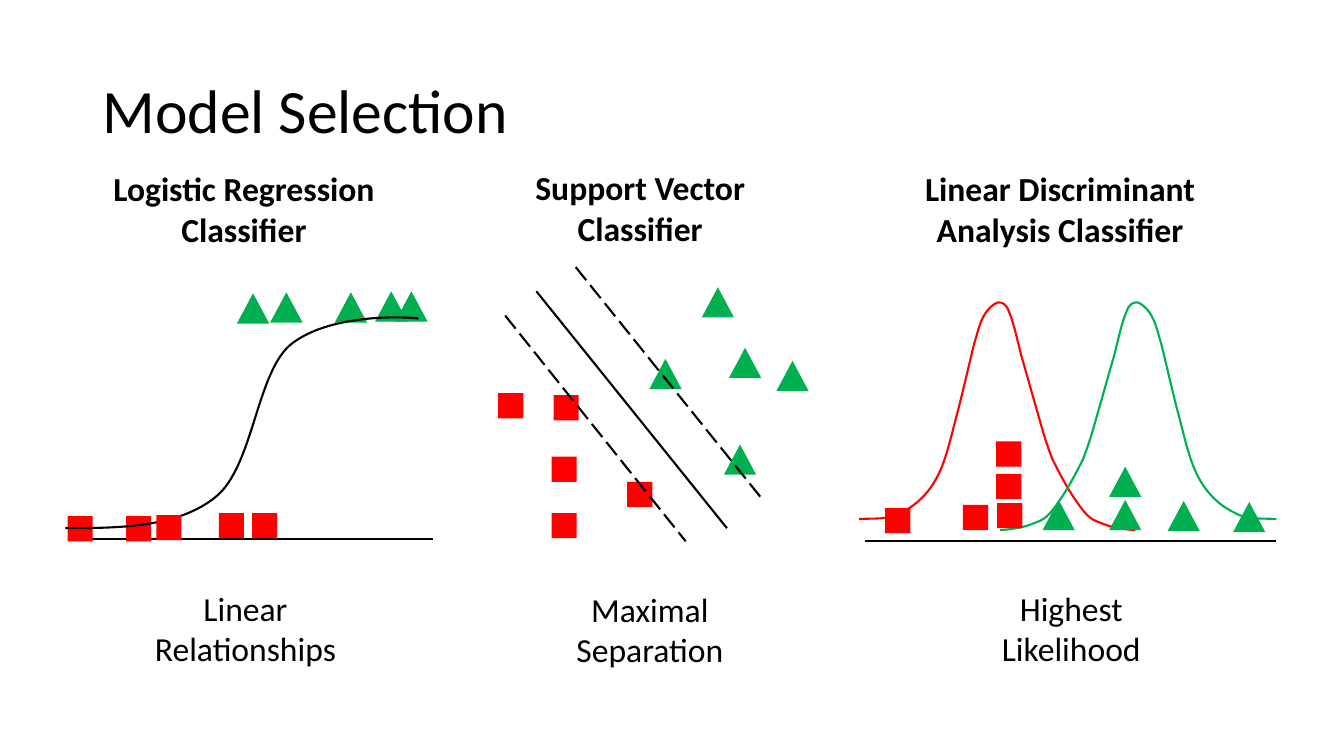
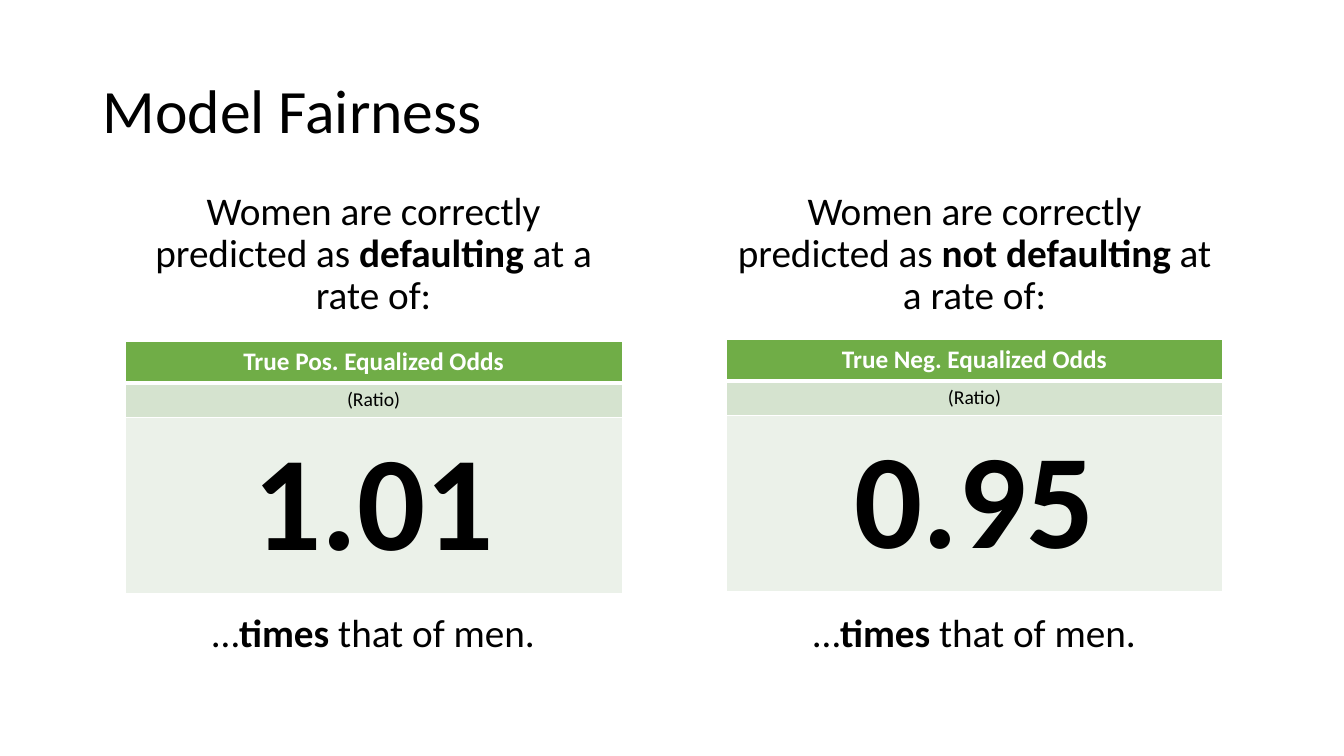
from lxml import etree
from pptx import Presentation
from pptx import util as u
from pptx.dml.color import RGBColor
from pptx.enum import dml, shapes, text
from pptx.oxml import ns

PX = 9144
BLACK = RGBColor(0x00, 0x00, 0x00)
WHITE = RGBColor(0xFF, 0xFF, 0xFF)
RED = RGBColor(0xFF, 0x00, 0x00)
GREEN = RGBColor(0x00, 0xB0, 0x50)
HEADER_GREEN = RGBColor(0x70, 0xAD, 0x47)
UNIT_GREEN = RGBColor(0xD5, 0xE3, 0xCF)
RATIO_GREEN = RGBColor(0xEB, 0xF1, 0xE9)

CENTER = text.PP_ALIGN.CENTER
TITLE = {"alignment": text.PP_ALIGN.LEFT, "line_spacing": 0.9}
LABEL = {"alignment": CENTER}
STATEMENT = {"alignment": CENTER, "line_spacing": 0.9, "space_before": u.Pt(10)}

TRIANGLE = (shapes.MSO_SHAPE.ISOSCELES_TRIANGLE, 32, 30, GREEN)
SQUARE = (shapes.MSO_SHAPE.RECTANGLE, 25, 25, RED)

PANEL_TOP = 160
ROW_HEIGHTS = (41, 34, 175)
SIGMOID = [(0, 364), (56, 364), (112, 363), (149, 333), (186, 303), (189, 213),
           (222, 183), (256, 154), (324, 153), (350, 156)]
BELL = [(0, 355), (15, 354), (29, 356), (41, 349), (54, 343), (67, 332), (76, 316),
        (86, 299), (91, 274), (97, 252), (103, 229), (110, 198), (114, 182),
        (119, 165), (120, 160), (124, 153), (128, 146), (134, 141), (138, 140),
        (142, 140), (146, 141), (149, 150), (153, 159), (157, 177), (161, 193),
        (166, 210), (172, 232), (177, 249), (182, 267), (186, 281), (192, 296),
        (199, 310), (207, 325), (214, 335), (221, 345), (226, 353), (235, 357),
        (244, 360), (248, 364), (274, 366)]


def px(*lengths):
    return [round(length * PX) for length in lengths]


def apply_format(target, values):
    for name, value in values.items():
        setattr(target, name, value)


def write_run(paragraph, words, size, bold=False, color=BLACK):
    run = paragraph.add_run()
    run.text = words
    apply_format(run.font, {"name": "Calibri", "size": u.Pt(size), "bold": bold})
    run.font.color.rgb = color


def add_words(slide, box, paragraphs, size, style, anchor=text.MSO_ANCHOR.TOP):
    frame = slide.shapes.add_textbox(*px(*box)).text_frame
    apply_format(frame, {"word_wrap": True, "vertical_anchor": anchor})
    for index, runs in enumerate(paragraphs):
        paragraph = frame.add_paragraph() if index else frame.paragraphs[0]
        apply_format(paragraph, style)
        for words, bold in runs:
            write_run(paragraph, words, size, bold)


def add_title_slide(deck, title):
    slide = deck.slides.add_slide(deck.slide_layouts[6])
    add_words(slide, (92, 40, 1150, 145), [[(title, False)]], 44, TITLE,
              text.MSO_ANCHOR.MIDDLE)
    return slide


def add_markers(slide, origin, marker, places):
    preset, width, height, color = marker
    left, top = origin
    for x, y in places:
        point = slide.shapes.add_shape(preset, *px(left + x, top + y, width, height))
        point.shadow.inherit = False
        point.fill.solid()
        point.fill.fore_color.rgb = color
        point.line.fill.background()


def ink(line, color=BLACK):
    line.color.rgb = color
    line.width = u.Pt(1.5)


def add_line(slide, origin, start, end, dashed=False):
    left, top = origin
    ends = px(left + start[0], top + start[1], left + end[0], top + end[1])
    connector = slide.shapes.add_connector(shapes.MSO_CONNECTOR.STRAIGHT, *ends)
    ink(connector.line)
    if dashed:
        connector.line.dash_style = dml.MSO_LINE.LONG_DASH
    etree.SubElement(connector._element.spPr, ns.qn("a:effectLst"))


def bend_segments(curve):
    segments = list(curve._element.iter(ns.qn("a:lnTo")))
    for index in range(0, len(segments), 3):
        bend = etree.Element(ns.qn("a:cubicBezTo"))
        segments[index].addprevious(bend)
        for segment in segments[index:index + 3]:
            bend.append(segment[0])
            segment.getparent().remove(segment)


def add_curve(slide, origin, controls, color=BLACK):
    left, top = origin
    start, *rest = [px(left + x, top + y) for x, y in controls]
    builder = slide.shapes.build_freeform(*start)
    builder.add_line_segments(rest, close=False)
    curve = builder.convert_to_shape()
    bend_segments(curve)
    curve.shadow.inherit = False
    curve.fill.background()
    ink(curve.line, color)


def add_panel_words(slide, origin, heading, heading_box, caption, caption_box):
    left, top = origin
    for lines, (x, y, width), bold in ((heading, heading_box, True),
                                       (caption, caption_box, False)):
        add_words(slide, (left + x, top + y, width, 91),
                  [[(line, bold)] for line in lines], 24, LABEL)


def logistic_panel(slide, origin):
    add_panel_words(slide, origin, ["Logistic Regression Classifier"], (27, 2, 300),
                    ["Linear Relationships"], (48, 418, 261))
    add_line(slide, origin, (2, 375), (364, 375))
    add_markers(slide, origin, TRIANGLE,
                [(203, 130), (267, 130), (327, 129), (307, 129)])
    add_markers(slide, origin, SQUARE, [(2, 352), (60, 352), (152, 349), (185, 349)])
    add_curve(slide, origin, SIGMOID)
    add_markers(slide, origin, TRIANGLE, [(170, 131)])
    add_markers(slide, origin, SQUARE, [(90, 351)])


def support_vector_panel(slide, origin):
    add_panel_words(slide, origin, ["Support Vector Classifier"], (-17, 1, 316),
                    ["Maximal", "Separation"], (20, 419, 261))
    add_markers(slide, origin, TRIANGLE,
                [(202, 125), (150, 196), (229, 185), (276, 198), (224, 281)])
    add_markers(slide, origin, SQUARE,
                [(55, 232), (53, 293), (128, 318), (53, 349), (0, 230)])
    add_line(slide, origin, (38, 129), (227, 364))
    add_line(slide, origin, (7, 153), (186, 377), dashed=True)
    add_line(slide, origin, (77, 105), (261, 334), dashed=True)


def discriminant_panel(slide, origin):
    width = 414
    add_panel_words(slide, origin, ["Linear Discriminant Analysis Classifier"],
                    (11, 2, 377), ["Highest Likelihood"], (111, 418, 199))
    add_line(slide, origin, (6, 377), (width, 377))
    add_curve(slide, origin, BELL, RED)
    add_curve(slide, origin, [(width - x, y) for x, y in BELL], GREEN)
    add_markers(slide, origin, TRIANGLE,
                [(182, 336), (248, 336), (248, 303), (371, 338), (306, 337)])
    add_markers(slide, origin, SQUARE,
                [(26, 344), (137, 339), (136, 310), (136, 278), (103, 341)])


def border_cell(cell, top, bottom):
    properties = cell._tc.get_or_add_tcPr()
    sides = {"lnL": 1, "lnR": 1, "lnT": top, "lnB": bottom}
    for index, (side, points) in enumerate(sides.items()):
        edge = etree.Element(ns.qn("a:" + side), w=str(u.Pt(points)))
        fill = etree.SubElement(edge, ns.qn("a:solidFill"))
        etree.SubElement(fill, ns.qn("a:srgbClr"), val=str(WHITE))
        properties.insert(index, edge)


def odds_table(slide, left, top, width, metric, ratio):
    box = px(left, top, width, sum(ROW_HEIGHTS))
    table = slide.shapes.add_table(3, 1, *box).table
    apply_format(table, {"first_row": False, "horz_banding": False})
    rows = [(metric, 18, True, WHITE, HEADER_GREEN, 1, 3),
            ("(Ratio)", 14, False, BLACK, UNIT_GREEN, 3, 1),
            (ratio, 96, True, BLACK, RATIO_GREEN, 1, 1)]
    for index, (words, size, bold, color, shade, above, below) in enumerate(rows):
        table.rows[index].height = px(ROW_HEIGHTS[index])[0]
        cell = table.cell(index, 0)
        cell.fill.solid()
        cell.fill.fore_color.rgb = shade
        border_cell(cell, above, below)
        paragraph = cell.text_frame.paragraphs[0]
        paragraph.alignment = CENTER
        write_run(paragraph, words, size, bold, color)


def fairness_column(slide, box, table_top, outcome, metric, ratio):
    left, top, width = box
    statement = [("Women are correctly predicted as ", False), (outcome, True),
                 (" at a rate of:", False)]
    comparison = [("…", False), ("times", True), (" that of men.", False)]
    odds_table(slide, left, top + table_top, width, metric, ratio)
    for offset, runs in ((0, statement), (419, comparison)):
        add_words(slide, (left, top + offset, width, 140), [runs], 28, STATEMENT)


def model_selection(deck):
    slide = add_title_slide(deck, "Model Selection")
    for panel, left in ((logistic_panel, 65), (support_vector_panel, 494),
                        (discriminant_panel, 852)):
        panel(slide, (left, PANEL_TOP))


def model_fairness(deck):
    slide = add_title_slide(deck, "Model Fairness")
    fairness_column(slide, (124, 185, 493), 154, "defaulting",
                    "True Pos. Equalized Odds", "1.01")
    fairness_column(slide, (720, 185, 493), 152, "not defaulting",
                    "True Neg. Equalized Odds", "0.95")


def main():
    deck = Presentation()
    deck.slide_width, deck.slide_height = px(1333, 750)
    model_selection(deck)
    model_fairness(deck)
    deck.save("out.pptx")


if __name__ == "__main__":
    main()
